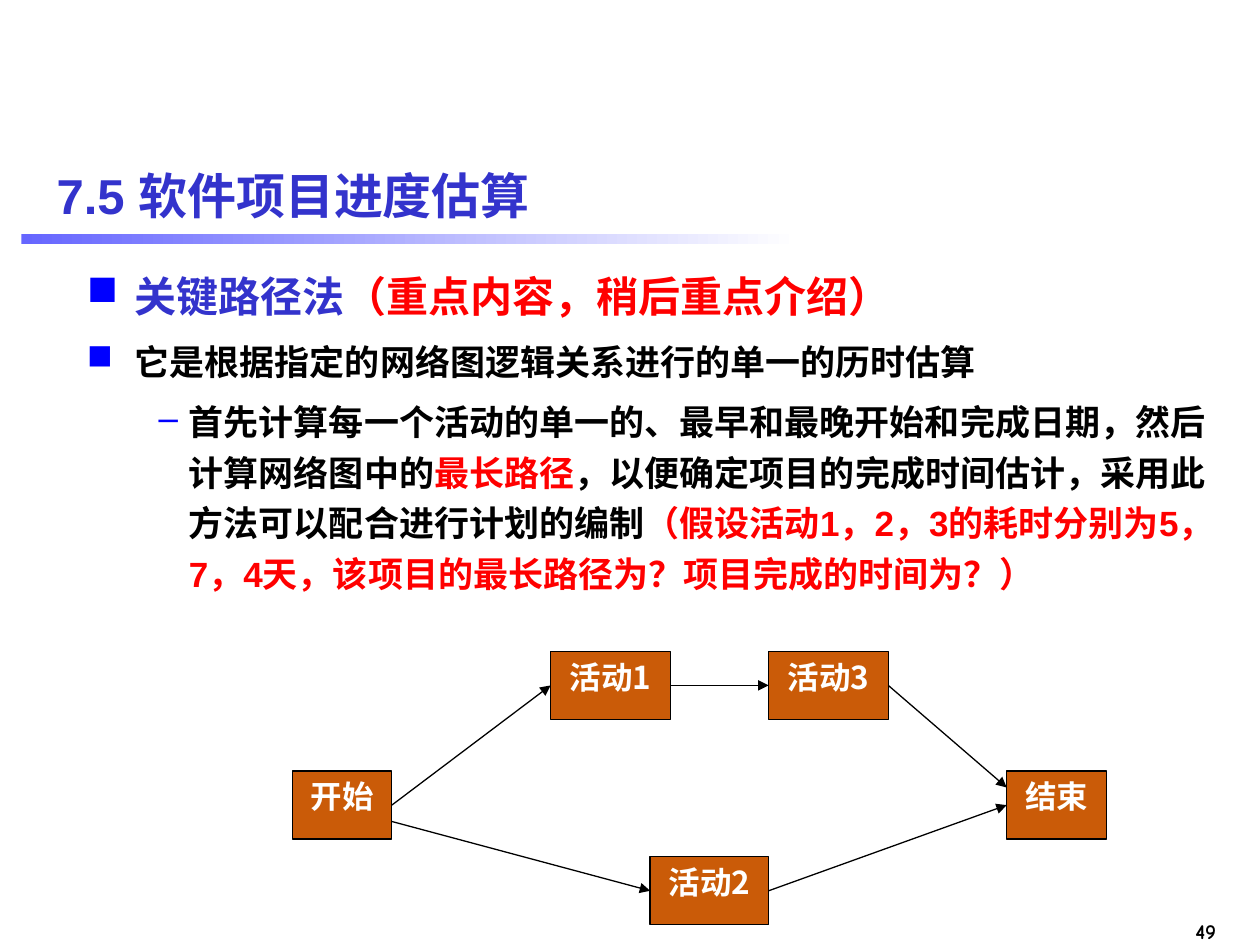
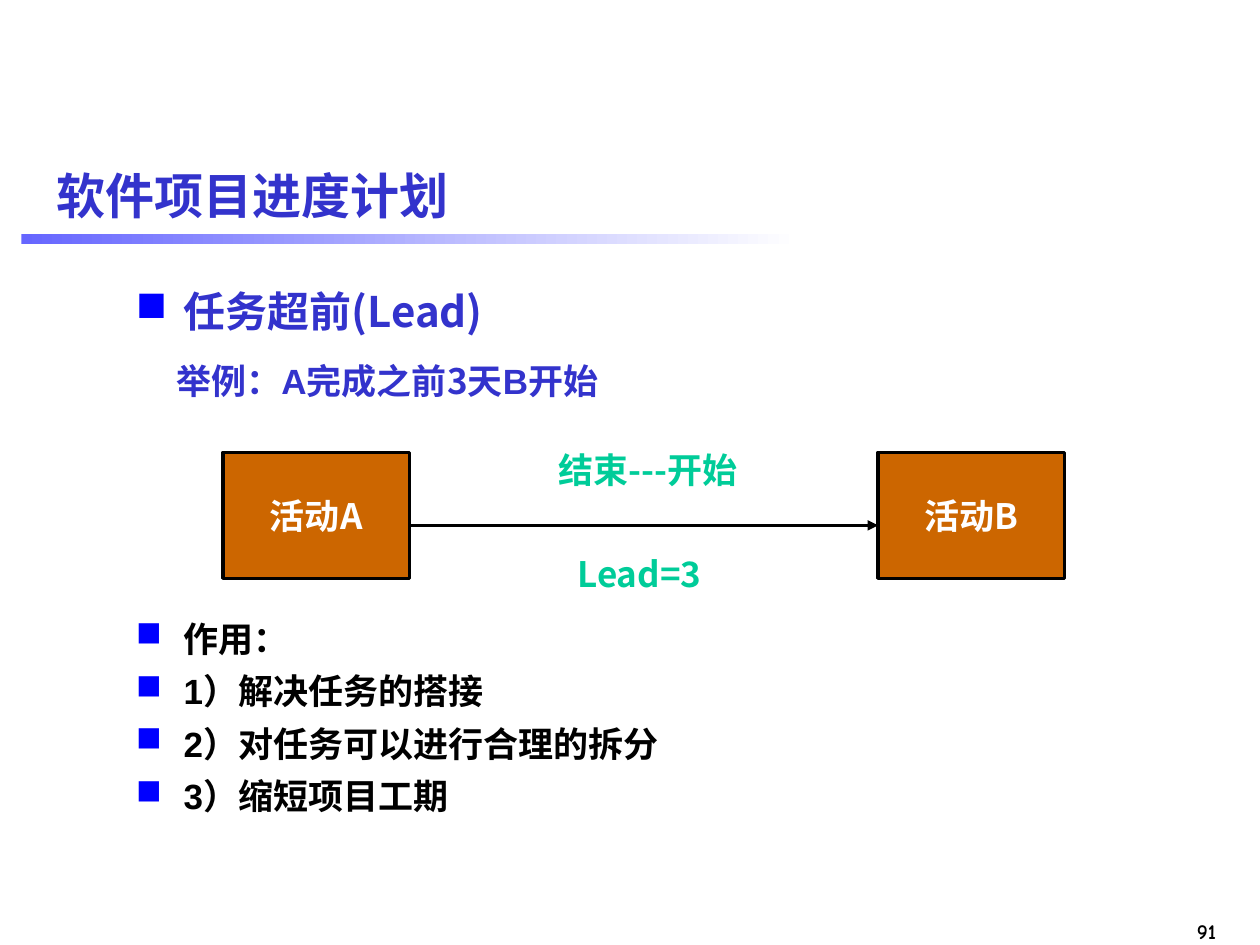
"""Build two slides on software project schedule estimation and planning."""
from lxml import etree
from pptx import Presentation
from pptx.dml.color import RGBColor
from pptx.enum.shapes import MSO_CONNECTOR, MSO_SHAPE
from pptx.enum.text import MSO_ANCHOR, PP_ALIGN
from pptx.oxml.ns import qn
from pptx.util import Inches, Pt

RECTANGLE = MSO_SHAPE.RECTANGLE
STRAIGHT = MSO_CONNECTOR.STRAIGHT
TOP, MIDDLE = MSO_ANCHOR.TOP, MSO_ANCHOR.MIDDLE
LEFT, CENTER, RIGHT = PP_ALIGN.LEFT, PP_ALIGN.CENTER, PP_ALIGN.RIGHT
LEFT_SIDE, RIGHT_SIDE = 1, 3

COLORS = {"title": "3333CC", "text": "000000", "alert": "FF0000", "bullet": "0000FF",
          "band": "6666FF", "paper": "FFFFFF", "activity": "CA5B08",
          "task": "CC6600", "label": "00CC99"}
LATIN, CHINESE, NUMBER = "Arial", "Noto Sans CJK SC", "Comic Neue"

LEVELS = {"main": ("■", 0.38, -0.38), "sub": ("–", 0.81, -0.24), "plain": (None, 0.32, 0)}

CRITICAL_PATH = [
    ("main", 24, [("关键路径法", "title", LATIN), ("（重点内容，稍后重点介绍）", "alert", LATIN)]),
    ("main", 20, [("它是根据指定的网络图逻辑关系进行的单一的历时估算", "text", LATIN)]),
    ("sub", 20, [
        ("首先计算每一个活动的单一的、最早和最晚开始和完成日期，然后计算网络图中的", "text", LATIN),
        ("最长路径", "alert", LATIN),
        ("，以便确定项目的完成时间估计，采用此方法可以配合进行计划的编制", "text", LATIN),
        ("（假设活动1，2，3的耗时分别为5，7，4天，该项目的最长路径为？项目完成的时间为？）",
         "alert", LATIN)]),
]
LEAD = [
    ("main", 24, [("任务超前(Lead)", "title", CHINESE)]),
    ("plain", 20, [("举例：A", "title", LATIN), ("完成之前3天", "title", CHINESE),
                   ("B", "title", LATIN), ("开始", "title", CHINESE)]),
]
PURPOSES = [("main", 20, [(line, "text", LATIN)]) for line in
            ("作用：", "1）解决任务的搭接", "2）对任务可以进行合理的拆分", "3）缩短项目工期")]

ROWS = {"upper": 5.17, "middle": 6.12, "lower": 6.8}
NETWORK = {"开始": (2.32, "middle", 0.79), "活动1": (4.37, "upper", 0.95),
           "活动3": (6.1, "upper", 0.95), "活动2": (5.16, "lower", 0.94),
           "结束": (7.99, "middle", 0.79)}
NODE_HEIGHT = 0.54
LINKS = [("开始", "活动2", 0.13, 0), ("开始", "活动1", 0, 0), ("活动1", "活动3", 0, 0),
         ("活动2", "结束", 0, 0), ("活动3", "结束", 0, -0.14)]
TASKS = {"活动A": 1.77, "活动B": 6.97}
TASK_TOP, TASK_WIDTH, TASK_HEIGHT = 3.59, 1.48, 1
ARROW_OFFSET = 0.08
LABELS = [("结束---开始", 3.74, 3.51), ("Lead=3", 3.67, 4.34)]


def color(name):
    return RGBColor.from_string(COLORS[name])


def inches(*lengths):
    return [Inches(length) for length in lengths]


def add_run(paragraph, text, size, color_name, font_name):
    run = paragraph.add_run()
    run.text = text
    font = run.font
    font.size, font.bold, font.name = Pt(size), True, font_name
    font.color.rgb = color(color_name)
    etree.SubElement(font._element, qn("a:ea"), typeface=font_name)


def add_text(slide, box, text, size, color_name, font_name, align, wrap=True):
    frame = slide.shapes.add_textbox(*inches(*box)).text_frame
    frame.word_wrap = wrap
    frame.paragraphs[0].alignment = align
    frame.vertical_anchor = MIDDLE
    add_run(frame.paragraphs[0], text, size, color_name, font_name)


def add_body(slide, box, items, line_spacing):
    frame = slide.shapes.add_textbox(*inches(*box)).text_frame
    frame.word_wrap = True
    for index, (level, size, runs) in enumerate(items):
        paragraph = frame.add_paragraph() if index else frame.paragraphs[0]
        bullet, margin, indent = LEVELS[level]
        properties = paragraph._p.get_or_add_pPr()
        properties.set("marL", str(Inches(margin)))
        properties.set("indent", str(Inches(indent)))
        if bullet:
            bullet_color = etree.SubElement(properties, qn("a:buClr"))
            etree.SubElement(bullet_color, qn("a:srgbClr"), val=COLORS["bullet"])
            etree.SubElement(properties, qn("a:buChar"), char=bullet)
        paragraph.line_spacing = line_spacing
        paragraph.space_before = Pt(0.3 * size if index else 0)
        for text, color_name, font_name in runs:
            add_run(paragraph, text, size, color_name, font_name)


def add_node(slide, box, text, size, fill, line_width, anchor):
    node = slide.shapes.add_shape(RECTANGLE, *inches(*box))
    node.shadow.inherit = False
    node.fill.solid()
    node.fill.fore_color.rgb = color(fill)
    node.line.color.rgb = color("text")
    node.line.width = Pt(line_width)
    frame = node.text_frame
    frame.vertical_anchor = anchor
    frame.paragraphs[0].alignment = CENTER
    add_run(frame.paragraphs[0], text, size, "paper", CHINESE)
    return node


def add_arrow(slide, source, target, width, source_offset=0, target_offset=0):
    begin_y = source.top + source.height // 2 + Inches(source_offset)
    end_y = target.top + target.height // 2 + Inches(target_offset)
    arrow = slide.shapes.add_connector(
        STRAIGHT, source.left + source.width, begin_y, target.left, end_y)
    if not source_offset:
        arrow.begin_connect(source, RIGHT_SIDE)
    if not target_offset:
        arrow.end_connect(target, LEFT_SIDE)
    arrow.line.color.rgb = color("text")
    arrow.line.width = Pt(width)
    etree.SubElement(arrow.line._get_or_add_ln(), qn("a:tailEnd"), type="triangle")
    etree.SubElement(arrow._element.spPr, qn("a:effectLst"))


def add_slide(presentation, title_text, number):
    slide = presentation.slides.add_slide(presentation.slide_layouts[5])
    band = slide.shapes.add_shape(RECTANGLE, *inches(0.17, 1.86, 6.17, 0.08))
    band.shadow.inherit = False
    band.line.fill.background()
    band.fill.gradient()
    band.fill.gradient_angle = 0
    for stop, name in zip(band.fill.gradient_stops, ("band", "paper")):
        stop.color.rgb = color(name)
    title = slide.shapes.title
    title.left, title.top, title.width, title.height = inches(0.35, 1.15, 9.45, 0.79)
    title.text_frame.vertical_anchor = MIDDLE
    paragraph = title.text_frame.paragraphs[0]
    paragraph.alignment = LEFT
    add_run(paragraph, title_text, 28, "title", LATIN)
    add_text(slide, (9.2, 7.24, 0.55, 0.3), number, 12, "text", NUMBER, RIGHT, wrap=False)
    return slide


def build_estimation(presentation):
    slide = add_slide(presentation, "7.5 软件项目进度估算", "49")
    add_body(slide, (0.59, 2.02, 9.21, 2.9), CRITICAL_PATH, 1.2)
    nodes = {name: add_node(slide, (left, ROWS[row], width, NODE_HEIGHT),
                            name, 18, "activity", 0.75, TOP)
             for name, (left, row, width) in NETWORK.items()}
    for source, target, source_offset, target_offset in LINKS:
        add_arrow(slide, nodes[source], nodes[target], 0.75, source_offset, target_offset)


def build_lead(presentation):
    slide = add_slide(presentation, "软件项目进度计划", "91")
    add_body(slide, (0.98, 2.1, 8.82, 1.3), LEAD, 1.3)
    add_body(slide, (0.98, 4.85, 8.82, 1.9), PURPOSES, 1)
    first, second = [add_node(slide, (left, TASK_TOP, TASK_WIDTH, TASK_HEIGHT),
                              name, 20, "task", 2, MIDDLE)
                     for name, left in TASKS.items()]
    add_arrow(slide, first, second, 2, ARROW_OFFSET, ARROW_OFFSET)
    for text, left, top in LABELS:
        add_text(slide, (left, top, 2.81, 0.43), text, 20, "label", CHINESE, CENTER)


def main():
    presentation = Presentation()
    presentation.slide_width, presentation.slide_height = inches(10, 7.5)
    build_estimation(presentation)
    build_lead(presentation)
    presentation.save("out.pptx")


if __name__ == "__main__":
    main()
